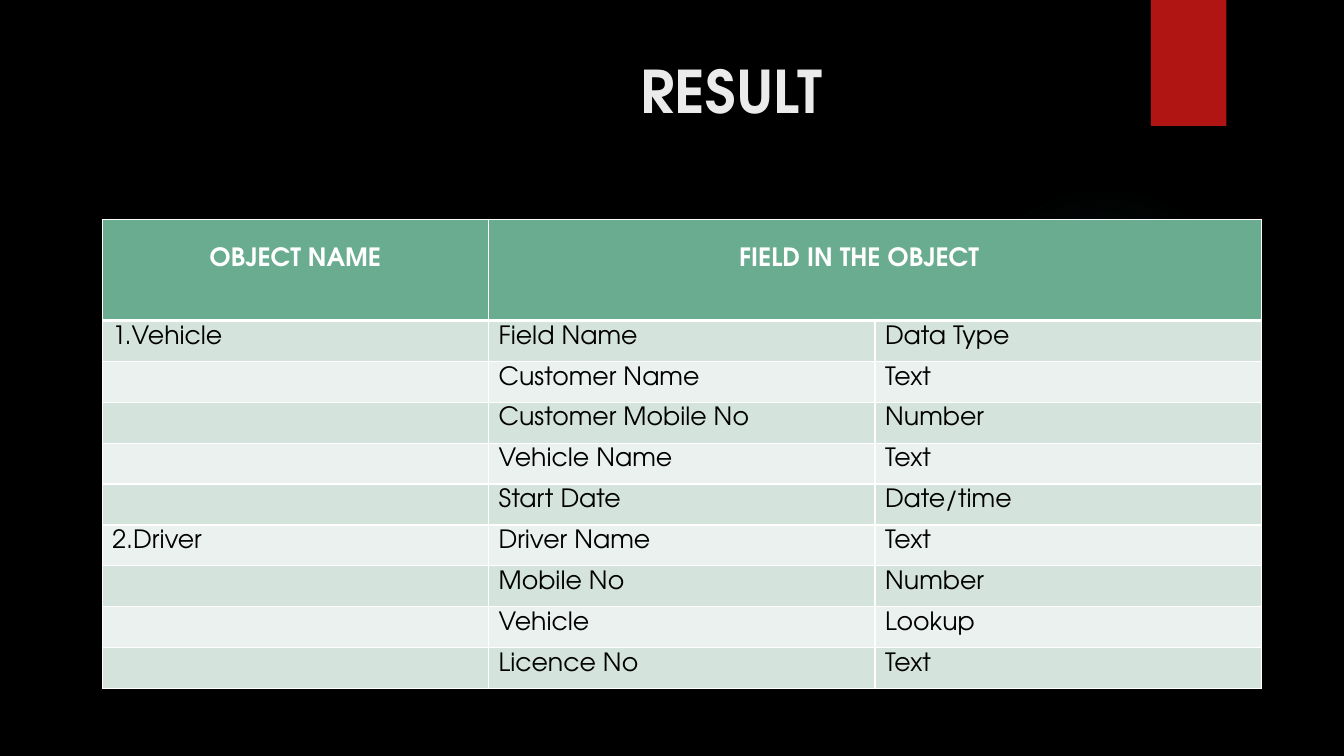
from lxml import etree
from pptx import Presentation
from pptx.dml.color import RGBColor
from pptx.enum.shapes import MSO_SHAPE
from pptx.enum.text import MSO_ANCHOR, PP_ALIGN
from pptx.oxml import parse_xml
from pptx.oxml.ns import nsdecls, qn
from pptx.util import Pt

RECT, OVAL = MSO_SHAPE.RECTANGLE, MSO_SHAPE.OVAL
TOP = MSO_ANCHOR.TOP
LEFT, CENTER = PP_ALIGN.LEFT, PP_ALIGN.CENTER

FIELDS = [
    ("1.Vehicle", "Field Name", "Data Type"),
    ("", "Customer Name", "Text"),
    ("", "Customer Mobile No", "Number"),
    ("", "Vehicle Name", "Text"),
    ("", "Start Date", "Date/time"),
    ("2.Driver", "Driver Name", "Text"),
    ("", "Mobile No", "Number"),
    ("", "Vehicle", "Lookup"),
    ("", "Licence No", "Text"),
]


def rgb(value):
    return RGBColor.from_string(value)


class Deck:
    """Holds the style and the current slide, with a method for each element."""

    font = "TeX Gyre Adventor"
    white, black, red, glow = "FFFFFF", "000000", "B01513", "50B9C1"
    header, bands = "6AAC90", ("D4E3DB", "EBF1EE")

    def __init__(self, prs):
        self.s = prs.slides.add_slide(prs.slide_layouts[5])
        fill = self.s.background.fill
        fill.solid()
        fill.fore_color.rgb = rgb(self.black)

    def style(self, p, size, color, bold=False, align=LEFT):
        p.alignment = align
        p.font.name = self.font
        p.font.size = Pt(size)
        p.font.bold = bold
        p.font.color.rgb = rgb(color)

    def title(self, text, x, y, w, h, indent):
        sp = self.s.shapes.title
        sp.left, sp.top, sp.width, sp.height = Pt(x), Pt(y), Pt(w), Pt(h)
        tf = sp.text_frame
        tf.text = text
        tf.vertical_anchor = TOP
        tf.margin_left = Pt(indent)
        self.style(tf.paragraphs[0], 42, "EBEBEB", True, CENTER)

    def shape(self, kind, x, y, w, h, color):
        sp = self.s.shapes.add_shape(kind, Pt(x), Pt(y), Pt(w), Pt(h))
        sp.shadow.inherit = False
        sp.fill.solid()
        sp.fill.fore_color.rgb = rgb(color)
        sp.line.fill.background()
        return sp

    def halo(self, x, y, size):
        sp = self.shape(OVAL, x, y, size, size, self.glow)
        stops = "".join(
            f'<a:gs pos="{pos}000"><a:srgbClr val="{self.glow}">'
            f'<a:alpha val="{alpha}000"/></a:srgbClr></a:gs>'
            for pos, alpha in ((0, 7), (36, 6), (69, 0)))
        grad = parse_xml(
            f'<a:gradFill {nsdecls("a")}><a:gsLst>{stops}</a:gsLst>'
            '<a:path path="circle"><a:fillToRect l="50000" t="50000" '
            'r="50000" b="50000"/></a:path></a:gradFill>')
        spPr = sp._element.spPr
        spPr.replace(spPr.find(qn("a:solidFill")), grad)

    def borders(self, cell, top, bottom):
        tcPr = cell._tc.get_or_add_tcPr()
        widths = (("lnL", 1), ("lnR", 1), ("lnT", top), ("lnB", bottom))
        for i, (side, width) in enumerate(widths):
            ln = etree.Element(qn(f"a:{side}"), w=str(Pt(width)))
            fill = etree.SubElement(ln, qn("a:solidFill"))
            etree.SubElement(fill, qn("a:srgbClr"), val=self.white)
            tcPr.insert(i, ln)

    def cell(self, cell, text, fill, color, top, bold=False, align=LEFT):
        cell.fill.solid()
        cell.fill.fore_color.rgb = rgb(fill)
        cell.text = text
        cell.vertical_anchor = TOP
        cell.margin_top, cell.margin_bottom = Pt(top), Pt(0)
        self.style(cell.text_frame.paragraphs[0], 18, color, bold, align)

    def table(self, x, y, w, head_h, row_h, heads, rows):
        n = len(rows) + 1
        frame = self.s.shapes.add_table(
            n, 3, Pt(x), Pt(y), Pt(w), Pt(head_h + row_h * len(rows)))
        table = frame.table
        for col in table.columns:
            col.width = Pt(w / 3)
        for i, row in enumerate(table.rows):
            row.height = Pt(row_h if i else head_h)
            for cell in row.cells:
                self.borders(cell, 3 if i == 1 else 1, 1 if i else 3)
        for j, text in enumerate(heads):
            self.cell(table.cell(0, j), text, self.header, self.white,
                      20, True, CENTER)
        table.cell(0, 1).merge(table.cell(0, 2))
        table.cell(0, 1).margin_right = Pt(30)
        for i, row in enumerate(rows, 1):
            for j, text in enumerate(row):
                self.cell(table.cell(i, j), text, self.bands[(i - 1) % 2],
                          self.black, 3.6)


def main():
    prs = Presentation()
    prs.slide_width, prs.slide_height = Pt(960), Pt(540)
    deck = Deck(prs)
    deck.halo(677.5, 132, 222)
    deck.shape(RECT, 822, 0, 54, 90, deck.red)
    deck.title("RESULT", 51, 35.3, 741, 110, 209)
    deck.table(73, 156.75, 828, 72.2, 29.2,
               ("OBJECT NAME", "FIELD IN THE OBJECT", ""), FIELDS)
    prs.save("out.pptx")


if __name__ == "__main__":
    main()
